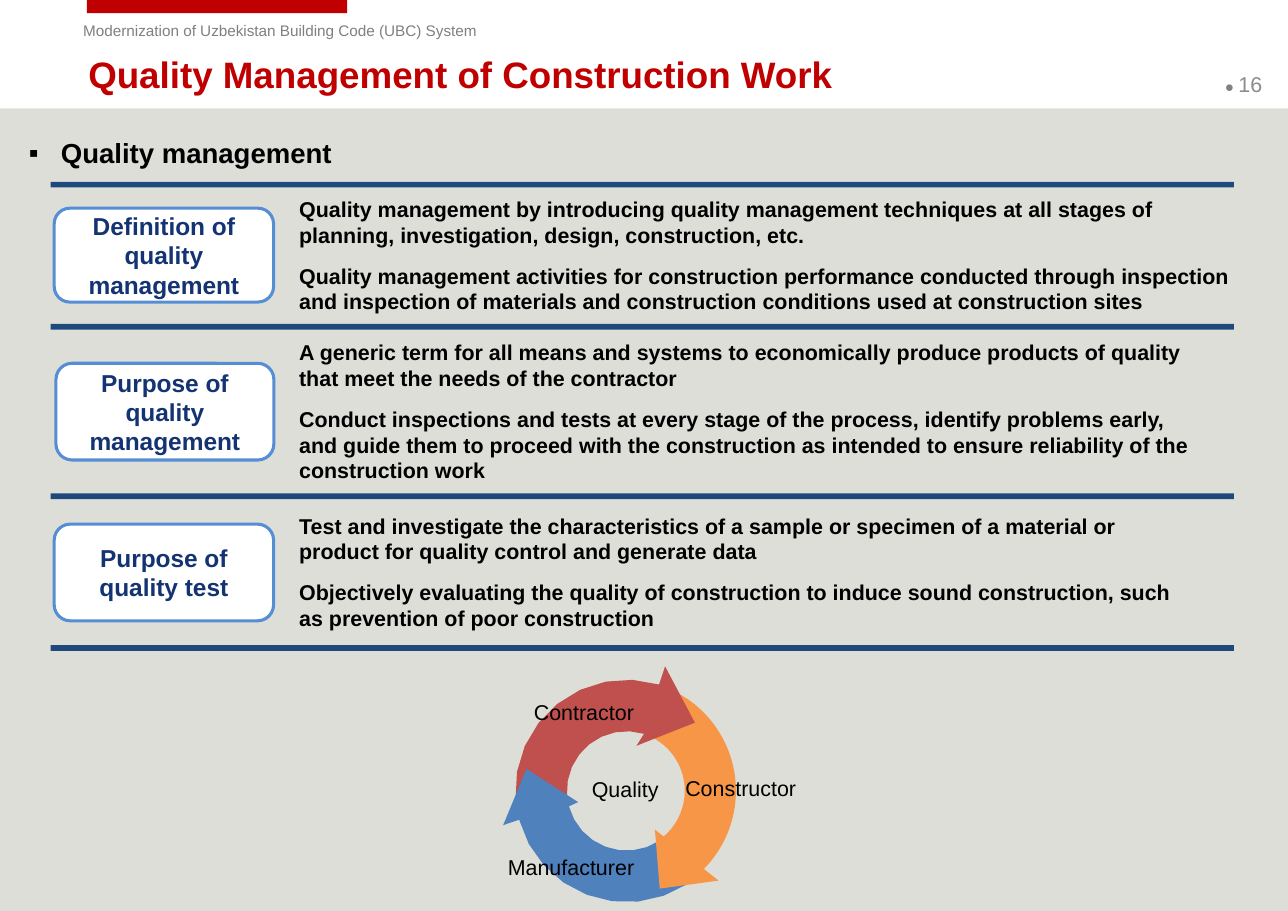
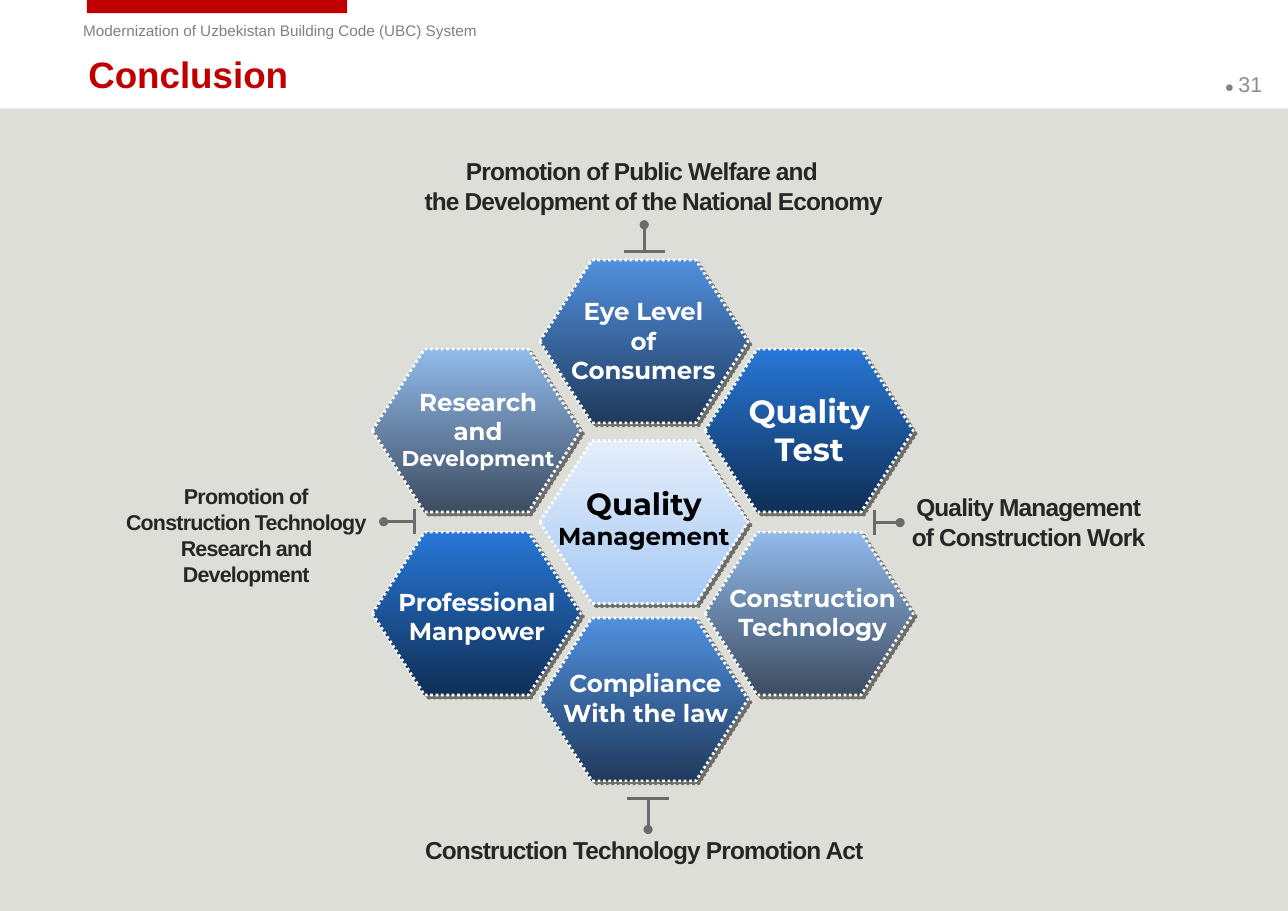
from math import cos, radians, sin

from lxml import etree
from pptx import Presentation
from pptx import util as u
from pptx.dml.color import RGBColor
from pptx.enum import dml, shapes, text
from pptx.oxml.ns import qn

Pt = u.Pt
COLORS = {
    "ground": "DEDED8", "accent": "C00000", "header": "808080", "number": "8C8C8C",
    "white": "FFFFFF", "black": "000000", "rule": "1F497D", "card": "558ED5",
    "card_text": "143372", "note": "262626", "stem": "6A6B6C",
    "orange": "F79646", "red": "C0504D", "blue": "4F81BD",
}
GRADIENTS = {
    "sky": ("5090DE", "203A5C"), "pale": ("E5EEFB", "A6C9F4"),
    "deep": ("2877D6", "0F2F57"), "grey": ("91BAEB", "3D4C61"),
}
LEFT, CENTER = text.PP_ALIGN.LEFT, text.PP_ALIGN.CENTER
TOP, MIDDLE = text.MSO_ANCHOR.TOP, text.MSO_ANCHOR.MIDDLE
TEXT_INSETS, WIDE_INSETS = (7.2, 3.6), (8, 4)
RING_CENTER, RING_OUTER, RING_INNER = (409.5, 517), 72.7, 39


def rgb(name):
    return RGBColor.from_string(COLORS.get(name, name))


def write(frame, lines, size=14, color="black", bold=False, font="Arial", align=LEFT,
          anchor=TOP, insets=TEXT_INSETS, wrap=True, grow=False, gap=0, spacing=0,
          bullet=None):
    """Fill a frame; each line is a string or a list of (string, overrides) spans."""
    sizing = text.MSO_AUTO_SIZE
    frame.word_wrap = wrap
    frame.auto_size = sizing.SHAPE_TO_FIT_TEXT if grow else sizing.NONE
    frame.vertical_anchor = anchor
    frame.margin_left = frame.margin_right = Pt(insets[0])
    frame.margin_top = frame.margin_bottom = Pt(insets[1])
    for index, line in enumerate(lines):
        para = frame.add_paragraph() if index else frame.paragraphs[0]
        if bullet:
            props = para._p.get_or_add_pPr()
            props.set("marL", str(Pt(21)))
            props.set("indent", str(Pt(-21)))
            etree.SubElement(props, qn("a:buChar")).set("char", bullet)
        para.alignment = align
        if index and gap:
            para.space_before = Pt(gap)
        for words, changes in [(line, {})] if isinstance(line, str) else line:
            span = para.add_run()
            span.text = words
            span.font.name = font
            span.font.bold = bold
            span.font.size = Pt(changes.get("size", size))
            span.font.color.rgb = rgb(changes.get("color", color))
            if spacing:
                span._r.get_or_add_rPr().set("spc", str(round(spacing * 100)))


def ring_arc(radius, start, end, steps=8):
    return [(radius, start + (end - start) * step / steps) for step in range(steps + 1)]


class Report:
    def __init__(self):
        self.deck = Presentation()
        self.deck.slide_width, self.deck.slide_height = Pt(841.68), Pt(595.44)
        self.page = None

    def add_page(self, layout, title, number):
        first = self.page is None
        self.page = self.deck.slides.add_slide(self.deck.slide_layouts[layout])
        if first:
            self.fill_master()
        self.placeholder(0, (49.7, 33.8, 750, 29), [title], size=24, color="accent",
                         bold=True, anchor=MIDDLE)
        self.text((792.5, 39, 49, 32), [[("● ", {"size": 10, "color": "header"}),
                                        (number, {})]],
                  color="number", anchor=MIDDLE, insets=WIDE_INSETS)

    def fill_master(self):
        """Draw the shared bands and header once, then move them to the master."""
        parts = [
            self.shape("RECTANGLE", (0, 70.8, 841.68, 524.64), "ground"),
            self.shape("RECTANGLE", (56.8, 0, 170, 8.6), "accent"),
            self.text((47.3, 10.4, 337, 19.4),
                      ["Modernization of Uzbekistan Building Code (UBC) System"],
                      size=10, color="header", grow=True),
        ]
        tree = self.deck.slide_master.shapes._spTree
        for index, part in enumerate(parts):
            part._element.nvSpPr.cNvPr.set("id", str(100 + index))
            tree.insert(2 + index, part._element)

    def placeholder(self, index, place, lines, **style):
        box = self.page.placeholders[index]
        box.left, box.top, box.width, box.height = map(Pt, place)
        write(box.text_frame, lines, insets=WIDE_INSETS, **style)

    def text(self, place, lines, **style):
        box = self.page.shapes.add_textbox(*map(Pt, place))
        write(box.text_frame, lines, **style)
        return box

    def label(self, place, lines, **style):
        """Centred text that does not wrap."""
        self.text(place, lines, align=CENTER, wrap=False, grow=True, **style)

    def paint(self, shape, fill):
        shape.shadow.inherit = False
        shape.fill.solid()
        shape.fill.fore_color.rgb = rgb(fill)
        shape.line.fill.background()
        return shape

    def shape(self, kind, place, fill, turn=0):
        preset = getattr(shapes.MSO_SHAPE, kind)
        box = self.paint(self.page.shapes.add_shape(preset, *map(Pt, place)), fill)
        box.rotation = turn
        return box

    def card(self, place, caption):
        box = self.shape("ROUNDED_RECTANGLE", place, "white")
        box.line.color.rgb = rgb("card")
        box.line.width = Pt(2)
        write(box.text_frame, [caption], size=16, color="card_text", bold=True,
              align=CENTER, anchor=MIDDLE)

    def ring_arrow(self, start, end, head, fill):
        """A curved arrow between two angles; head holds (radius, angle) points."""
        polar = [*ring_arc(RING_OUTER, start, end), *head, *ring_arc(RING_INNER, end, start)]
        points = [(Pt(RING_CENTER[0] + radius * cos(radians(angle))),
                   Pt(RING_CENTER[1] + radius * sin(radians(angle))))
                  for radius, angle in polar]
        builder = self.page.shapes.build_freeform(*points[0], scale=1.0)
        builder.add_line_segments(points[1:], close=True)
        self.paint(builder.convert_to_shape(), fill)

    def hexagon(self, x, y, gradient):
        box = self.shape("HEXAGON", (x, y, 136, 106.5), "white")
        box.adjustments[0] = 0.32
        box.fill.gradient()
        box.fill.gradient_angle = 270
        for stop, shade in zip(box.fill.gradient_stops, GRADIENTS[gradient]):
            stop.color.rgb = rgb(shade)
        box.line.color.rgb = rgb("white")
        box.line.width = Pt(1.75)
        box.line.dash_style = dml.MSO_LINE.ROUND_DOT
        effects = box._element.spPr.find(qn("a:effectLst"))
        shadow = etree.SubElement(effects, qn("a:outerShdw"), blurRad="0",
                                  dist=str(Pt(2.8)), dir="2700000", algn="tl",
                                  rotWithShape="0")
        shade = etree.SubElement(shadow, qn("a:srgbClr"), val=COLORS["black"])
        etree.SubElement(shade, qn("a:alpha"), val="50000")

    def line(self, start, end, dot=False):
        link = self.page.shapes.add_connector(shapes.MSO_CONNECTOR.STRAIGHT,
                                              *map(Pt, (*start, *end)))
        link.line.color.rgb = rgb("stem")
        link.line.width = Pt(2)
        if dot:
            etree.SubElement(link.line._get_or_add_ln(), qn("a:tailEnd"), type="oval")
        etree.SubElement(link._element.spPr, qn("a:effectLst"))

    def pointer(self, x, y, dx=0, dy=0):
        """A bar centred on a point, with a dotted-end stem leaving it."""
        across, along = (13.5, 0) if dy else (0, 8)
        self.line((x - across, y - along), (x + across, y + along))
        self.line((x, y), (x + dx, y + dy), dot=True)


def quality_management(report):
    report.add_page(1, "Quality Management of Construction Work", "16")
    report.placeholder(1, (10.8, 85, 823, 510), ["Quality management"], size=18,
                       bold=True, bullet="▪")
    rows = [
        ((35.4, 136.1, 143.4, 61.4), "Definition of quality management",
         (124.6, 622.8, 85), [
            "Quality management by introducing quality management techniques at all stages "
            "of planning, investigation, design, construction, etc.",
            "Quality management activities for construction performance conducted through "
            "inspection and inspection of materials and construction conditions used at "
            "construction sites"]),
        ((36.6, 237.5, 142.4, 63.2), "Purpose of quality management",
         (218.2, 598.3, 102), [
            "A generic term for all means and systems to economically produce products of "
            "quality that meet the needs of the contractor",
            "Conduct inspections and tests at every stage of the process, identify problems "
            "early, and guide them to proceed with the construction as intended to ensure "
            "reliability of the construction work"]),
        ((35.4, 342.6, 143.4, 63.2), "Purpose of quality test",
         (331.5, 598.3, 85), [
            "Test and investigate the characteristics of a sample or specimen of a material "
            "or product for quality control and generate data",
            "Objectively evaluating the quality of construction to induce sound "
            "construction, such as prevention of poor construction"]),
    ]
    for place, caption, (top, width, height), lines in rows:
        report.card(place, caption)
        report.text((188.4, top, width, height), lines, bold=True, gap=10, grow=True)
    for top in (118.8, 211.7, 322.5, 421.7):
        report.shape("RECTANGLE", (33.1, top, 773.3, 3.7), "rule")

    arc = report.shape("BLOCK_ARC", (335.5, 444.2, 145.4, 145.4), "orange", turn=119)
    for index, value in enumerate((108, 174.41, 0.23)):
        arc.adjustments[index] = value
    report.ring_arrow(176, 287, [(85.2, 287.2), (63.1, 315), (30.2, 282.4)], "red")
    report.ring_arrow(57, 165, [(83.7, 164.5), (67, 192.4), (32.5, 167)], "blue")
    report.shape("FLOWCHART_MERGE", (413.3, 555.8, 53.3, 28.1), "orange", turn=38.8)
    for x, y, width, caption in [(440.6, 503.3, 87, "Constructor"),
                                 (324.7, 554.4, 97, "Manufacturer"),
                                 (341.3, 453.6, 80.6, "Contractor"),
                                 (379.4, 504, 58.3, "Quality")]:
        report.label((x, y, width, 24.3), [caption])


def conclusion(report):
    report.add_page(5, "Conclusion", "31")
    left, middle, right = 243.4, 352.8, 460.8
    upper, lower = 228.2, 347.8
    for x, y, gradient in [(middle, 169.9, "sky"), (middle, 288, "pale"),
                           (right, upper, "deep"), (left, upper, "grey"),
                           (left, lower, "deep"), (right, lower, "grey"),
                           (middle, 403.9, "sky")]:
        report.hexagon(x, y, gradient)

    small, large = {"size": 14}, {"size": 20}
    captions = [
        ((363.6, 190.1, 113.8, 65.5), ["Eye Level", "of", "Consumers"], {}),
        ((480.2, 252, 97.2, 58.3), ["Quality", "Test"], {"size": 21}),
        ((254.9, 249.1, 115.2, 63.4), ["Research", "and", [("Development", small)]], {}),
        ((466.6, 377.3, 128.9, 46.1), ["Construction", "Technology"], {}),
        ((249.8, 380.2, 123.8, 46.1), ["Professional", "Manpower"], {}),
        ((359.3, 433.4, 125.3, 46.1), ["Compliance", "With the law"], {}),
        ((356.4, 313.2, 128.9, 51.1), [[("Quality", large)], "Management"],
         {"color": "black"}),
    ]
    for place, lines, style in captions:
        report.label(place, lines, **{"size": 16, "color": "white", "bold": True,
                                      "font": "Montserrat", **style})

    note = {"color": "note", "bold": True, "spacing": -0.55}
    top_note = report.text((222.2, 98.6, 394.6, 46.1),
                           ["Promotion of Public Welfare and",
                            "the Development of the National Economy"],
                           size=16, align=CENTER, grow=True, **note)
    top_note.text_frame.paragraphs[1]._p.get_or_add_pPr().set("marL", str(Pt(15.5)))
    report.label((588, 318.2, 168.5, 46.1), ["Quality Management", "of Construction Work"],
                 size=16, **note)
    report.label((68, 312.5, 185.8, 58.3),
                 ["Promotion of", "Construction Technology", "Research and Development"],
                 **note)
    report.label((268.4, 542.2, 305.3, 26.6), ["Construction Technology Promotion Act"],
                 size=16, **note)

    report.pointer(421, 164.2, dy=-17.3)
    report.pointer(423.5, 522, dy=20.2)
    report.pointer(270.7, 341, dx=-20)
    report.pointer(571.7, 341.6, dx=16.5)


def main():
    report = Report()
    quality_management(report)
    conclusion(report)
    report.deck.save("out.pptx")


if __name__ == "__main__":
    main()
